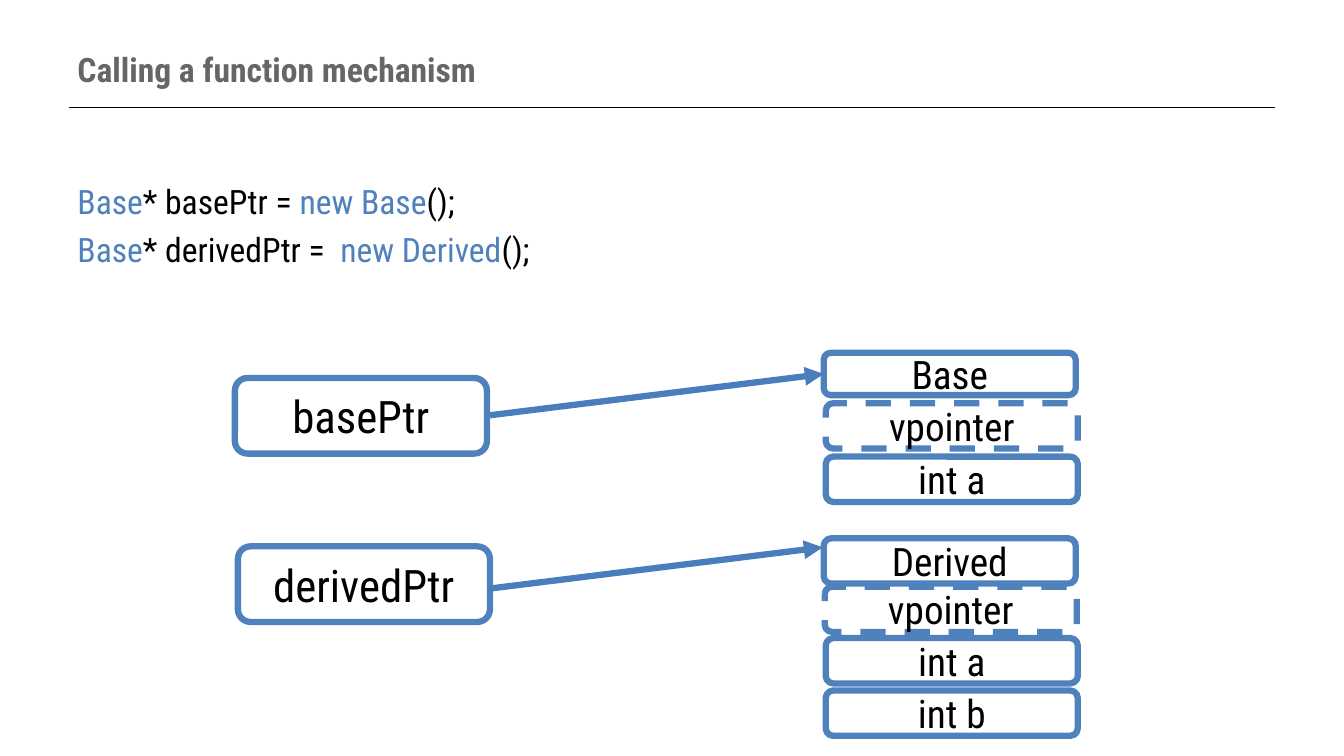
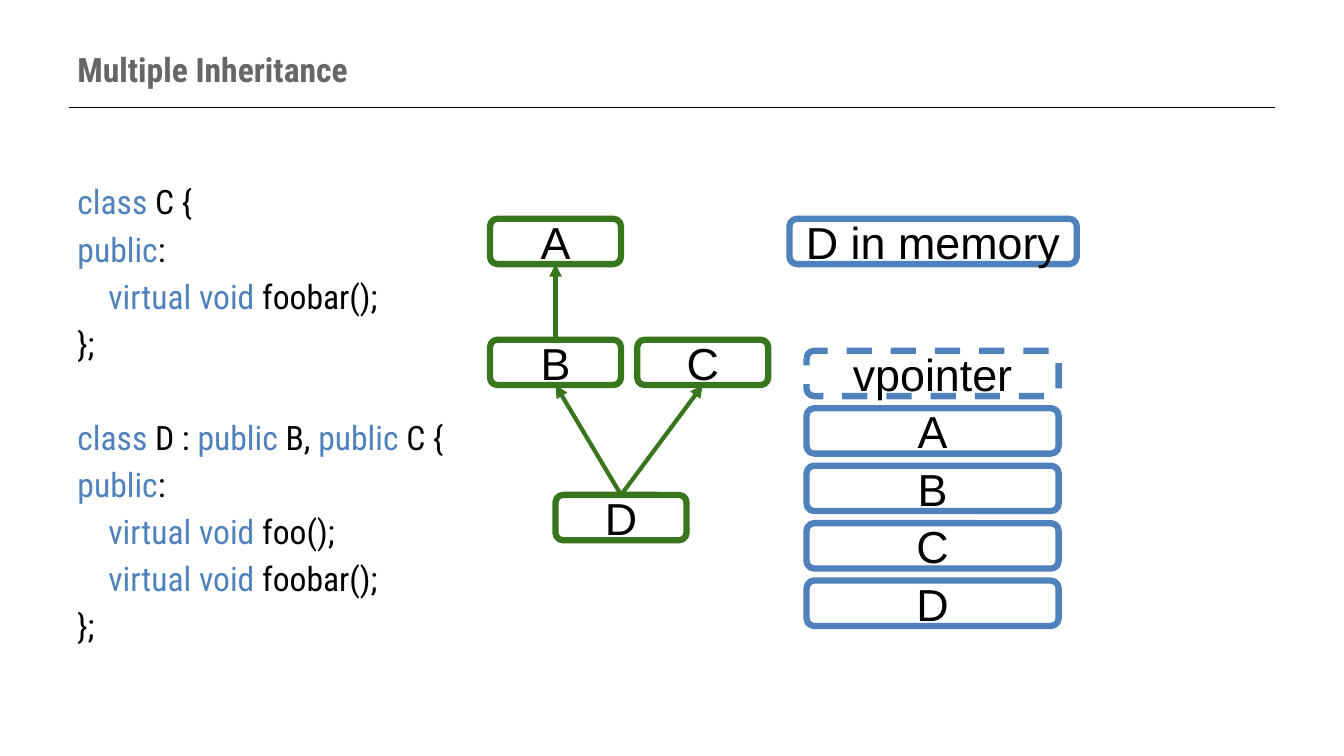
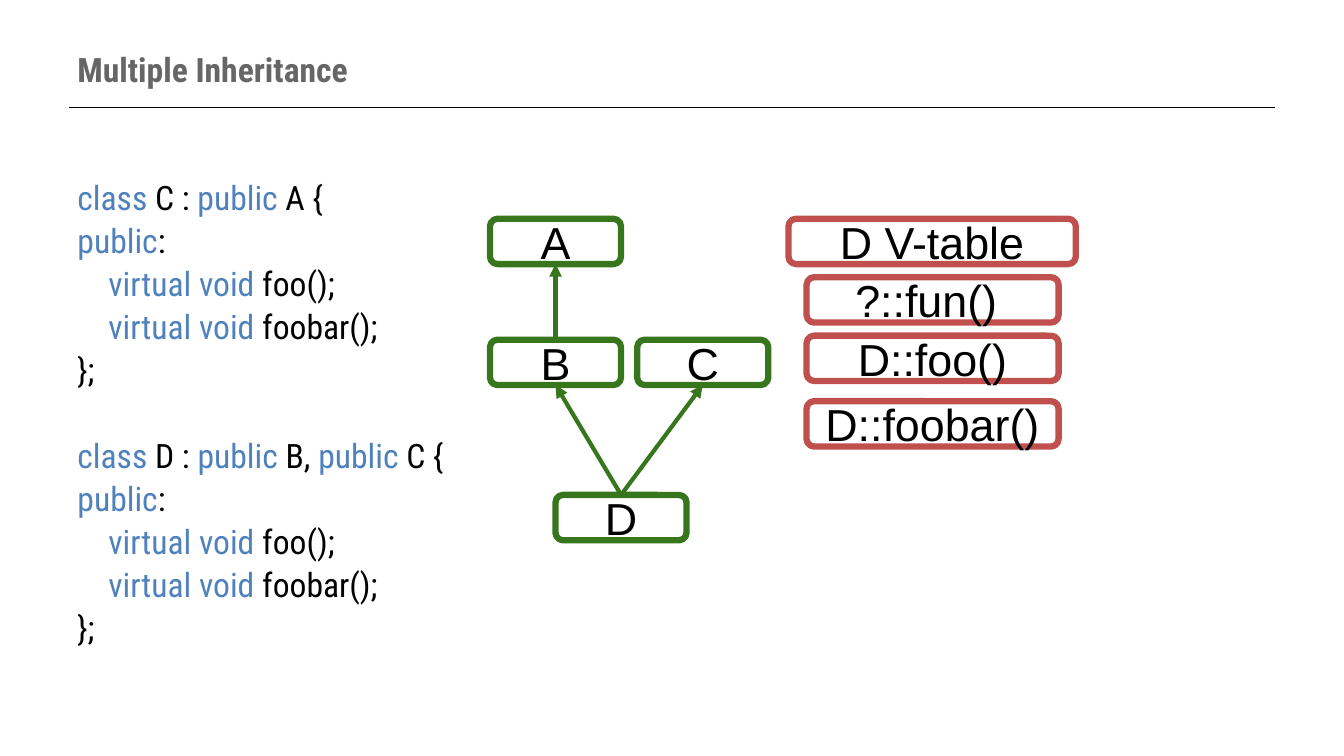
from lxml import etree
from pptx import Presentation
from pptx.dml.color import RGBColor
from pptx.enum import dml, shapes, text
from pptx.oxml import ns
from pptx.util import Inches, Pt

# Shared style
FONT = "Roboto Condensed"
DIAGRAM_FONT = "Arial"
BLACK, WHITE, GREY = "000000", "FFFFFF", "666666"
BLUE, ARROW_BLUE, GREEN, RED = "4F81BD", "4A7DBB", "38761D", "C0504D"
color = RGBColor.from_string
CODE_SIZE, CODE_GAP, CODE_LINE = 24, 4.8, 28.8
ROW_HEIGHT = 0.45


def add_node(page, label, left, top, width, height=ROW_HEIGHT,
             outline=BLUE, font=DIAGRAM_FONT, size=32):
    """Add a rounded box with a centred label; the vpointer is dashed."""
    node = page.shapes.add_shape(
        shapes.MSO_SHAPE.ROUNDED_RECTANGLE,
        Inches(left), Inches(top), Inches(width), Inches(height))
    node.shadow.inherit = False
    node.fill.solid()
    node.fill.fore_color.rgb = color(WHITE)
    node.line.color.rgb = color(outline)
    node.line.width = Pt(4.5)
    if label == "vpointer":
        node.line.dash_style = dml.MSO_LINE.DASH
    frame = node.text_frame
    frame.vertical_anchor = text.MSO_ANCHOR.MIDDLE
    para = frame.paragraphs[0]
    para.alignment = text.PP_ALIGN.CENTER
    span = para.add_run()
    span.text = label
    span.font.name, span.font.size = font, Pt(size)
    span.font.color.rgb = color(BLACK)
    return node


def add_line(page, start, end, stroke, width, arrow=True):
    """Add a straight line, with an arrowhead at its end if wanted."""
    line = page.shapes.add_connector(
        shapes.MSO_CONNECTOR.STRAIGHT,
        *[Inches(value) for value in (*start, *end)])
    line.line.color.rgb = color(stroke)
    line.line.width = Pt(width)
    if arrow:
        etree.SubElement(line.line._get_or_add_ln(), ns.qn("a:tailEnd"), type="triangle")
    etree.SubElement(line._element.spPr, ns.qn("a:effectLst"))
    return line


# Title, line spacing and code of each slide; backticks enclose keywords,
# and an empty line stands for a gap
CLASS_D = [
    "`class` D : `public` B, `public` C {",
    "`public`:",
    "    `virtual void` foo();",
    "    `virtual void` foobar();",
    "};",
]
contents = [
    ("Calling a function mechanism", 1, [
        "`Base`* basePtr = `new Base`();",
        "`Base`* derivedPtr =  `new Derived`();",
    ]),
    ("Multiple Inheritance", 1, [
        "`class` C {",
        "`public`:",
        "    `virtual void` foobar();",
        "};",
        "",
        *CLASS_D,
    ]),
    ("Multiple Inheritance", 0.9, [
        "`class` C : `public` A {",
        "`public`:",
        "    `virtual void` foo();",
        "    `virtual void` foobar();",
        "};",
        "",
        *CLASS_D,
    ]),
]

deck = Presentation()
deck.slide_width, deck.slide_height = Inches(13.33), Inches(7.5)
pages = []
for title, spacing, code in contents:
    page = deck.slides.add_slide(deck.slide_layouts[6])
    pages.append(page)

    # Title and rule
    add_line(page, (0.68, 1.07), (12.65, 1.07), BLACK, 0.75, arrow=False)
    box = page.shapes.add_textbox(Inches(0.67), Inches(0.3), Inches(12), Inches(0.77))
    box.text_frame.word_wrap = True
    box.text_frame.vertical_anchor = text.MSO_ANCHOR.MIDDLE
    span = box.text_frame.paragraphs[0].add_run()
    span.text = title
    span.font.name, span.font.size, span.font.bold = FONT, Pt(24), True
    span.font.color.rgb = color(GREY)

    # Code
    box = page.shapes.add_textbox(Inches(0.67), Inches(1.75), Inches(12), Inches(4.95))
    box.text_frame.word_wrap = True
    para = box.text_frame.paragraphs[0]
    gap = 0
    for row in code:
        if not row:
            gap += CODE_LINE * spacing + CODE_GAP
            continue
        if para.runs:
            para = box.text_frame.add_paragraph()
        para.space_before = Pt(gap)
        para.line_spacing = spacing
        gap = CODE_GAP
        for index, part in enumerate(row.split("`")):
            if part:
                span = para.add_run()
                span.text = part
                span.font.name, span.font.size = FONT, Pt(CODE_SIZE)
                span.font.color.rgb = color(BLUE if index % 2 else BLACK)

calling, memory, vtable = pages

# Slide 1: pointers and the objects they point to
for label, left, top in [("basePtr", 2.33, 3.75), ("derivedPtr", 2.36, 5.42)]:
    add_node(calling, label, left, top, 2.5, 0.75, font=FONT)
for label, left, top, height in [
    ("Base", 8.17, 3.5, 0.42),
    ("vpointer", 8.19, 4, ROW_HEIGHT),
    ("int a", 8.19, 4.53, ROW_HEIGHT),
    ("Derived", 8.17, 5.34, ROW_HEIGHT),
    ("vpointer", 8.18, 5.82, ROW_HEIGHT),
    ("int a", 8.19, 6.33, ROW_HEIGHT),
    ("int b", 8.19, 6.85, ROW_HEIGHT),
]:
    add_node(calling, label, left, top, 2.5, height, font=FONT, size=28)
add_line(calling, (4.86, 4.12), (8.17, 3.71), ARROW_BLUE, 4.5)
add_line(calling, (4.85, 5.84), (8.16, 5.43), ARROW_BLUE, 4.5)

# Slides 2 and 3: class tree, each arrow going from a class to its parent
TREE = {"A": (4.86, 2.17), "B": (4.86, 3.37), "C": (6.32, 3.37), "D": (5.51, 4.91)}
TREE_WIDTH = 1.3
for page in (memory, vtable):
    nodes = {label: add_node(page, label, left, top, TREE_WIDTH, outline=GREEN)
             for label, (left, top) in TREE.items()}
    for child, parent in ["BA", "DB", "DC"]:
        (child_left, child_top), (parent_left, parent_top) = TREE[child], TREE[parent]
        arrow = add_line(page, (child_left + TREE_WIDTH / 2, child_top),
                         (parent_left + TREE_WIDTH / 2, parent_top + ROW_HEIGHT), GREEN, 3)
        arrow.begin_connect(nodes[child], 0)
        arrow.end_connect(nodes[parent], 2)

# Slide 2: memory layout of D
add_node(memory, "D in memory", 7.83, 2.17, 2.85)
for index, label in enumerate(["vpointer", "A", "B", "C", "D"]):
    add_node(memory, label, 8, 3.48 + index * 0.57, 2.5)

# Slide 3: virtual table of D
add_node(vtable, "D V-table", 7.82, 2.17, 2.85, outline=RED)
for label, top in [("?::fun() ", 2.75), ("D::foo()", 3.33), ("D::foobar()", 3.98)]:
    add_node(vtable, label, 8, top, 2.5, outline=RED)

deck.save("out.pptx")
